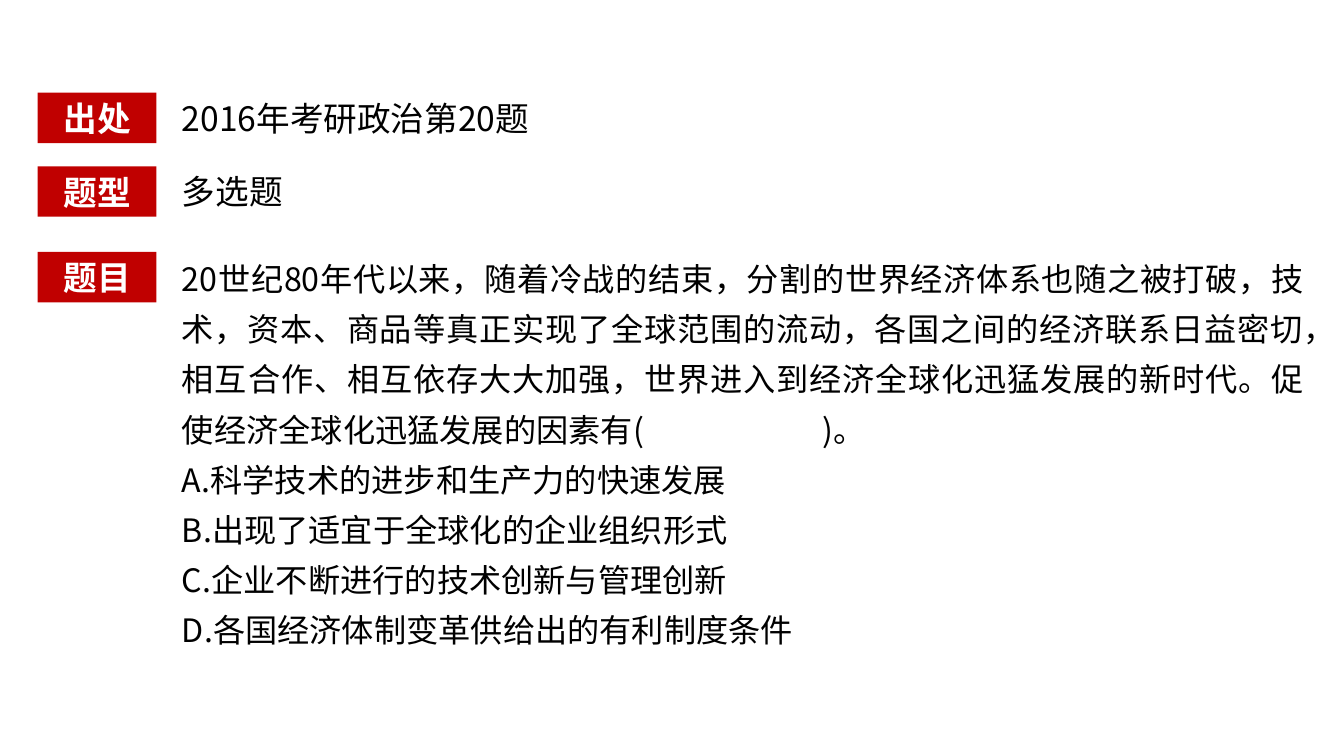
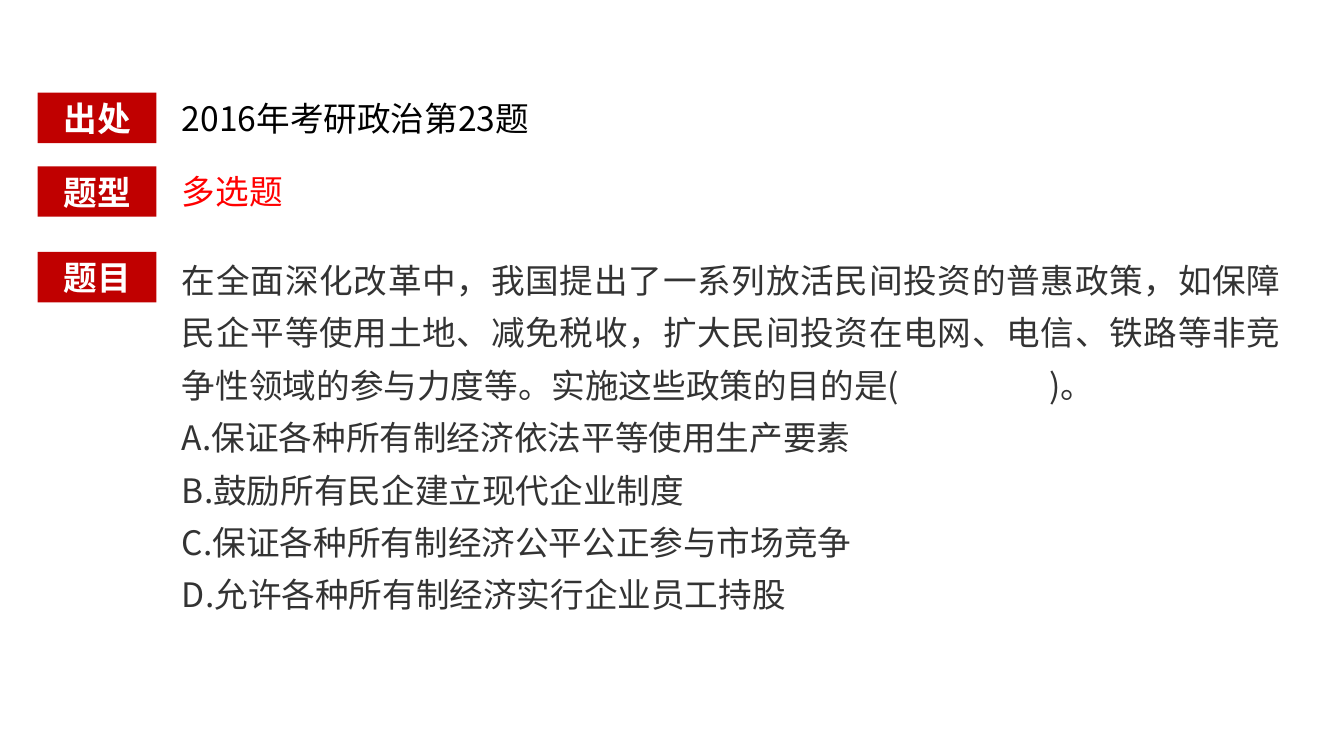
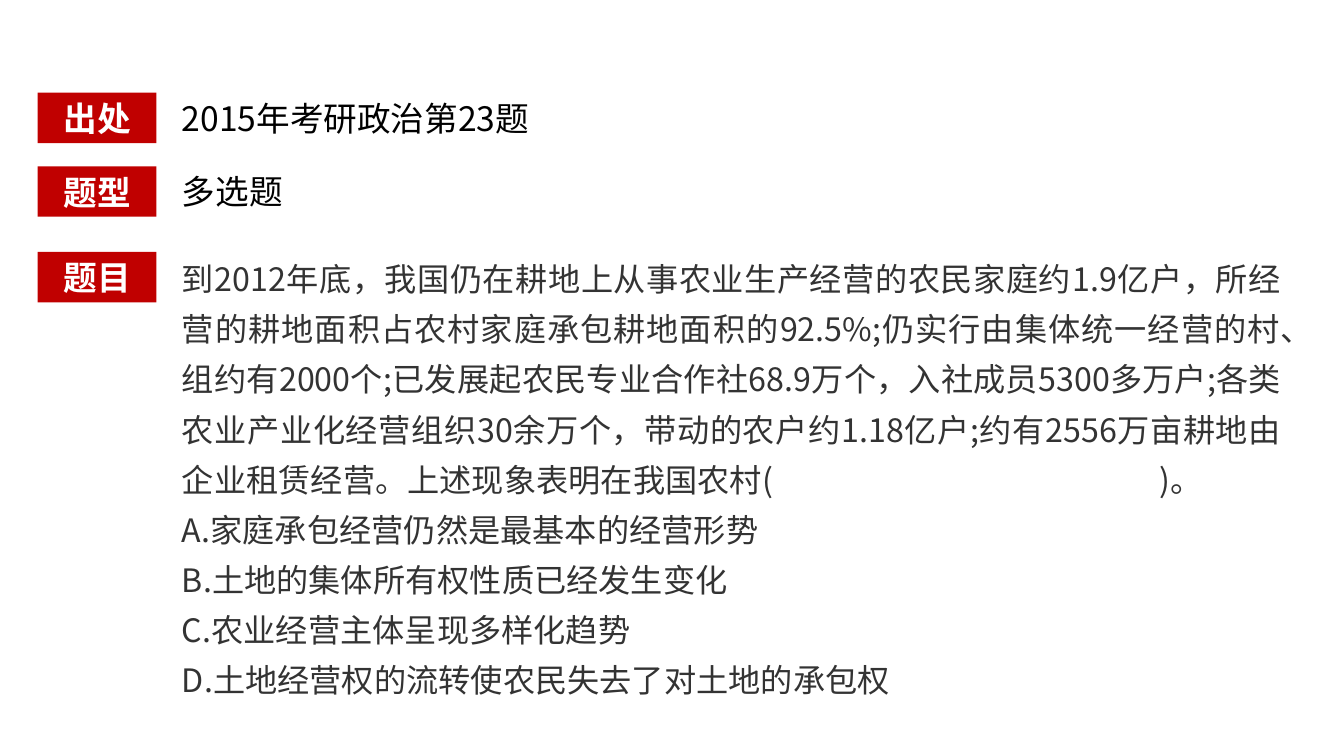
from dataclasses import dataclass

from pptx import Presentation
from pptx.dml.color import RGBColor as Rgb
from pptx.enum.shapes import MSO_SHAPE as Shape
from pptx.enum.text import MSO_ANCHOR as Anchor, MSO_AUTO_SIZE as AutoSize, PP_ALIGN as Align
from pptx.oxml.xmlchemy import OxmlElement
from pptx.util import Inches, Pt


@dataclass(frozen=True)
class Theme:
    font: str = "Noto Sans CJK SC"
    label_fill: str = "C00000"
    label_text: str = "FFFFFF"
    black: str = "000000"
    grey: str = "333333"
    red: str = "FF0000"
    size: int = 24
    dense_size: int = 23
    line_spacing: float = 1.3


THEME = Theme()

# Shares of the slide, in percent of its width or height
LABEL_LEFT, LABEL_WIDTH = 2.8, 8.85
TEXT_LEFT, TEXT_WIDTH = 12.8, 68
SOURCE_TOP, KIND_TOP, QUESTION_LABEL_TOP = 12.27, 22, 33.33
QUESTION_TOP, ROW_HEIGHT = 32.13, 6.67


class QuestionDeck:
    def __init__(self, theme):
        self.theme = theme
        self.deck = Presentation()
        self.deck.slide_width, self.deck.slide_height = Inches(13.33), Inches(7.5)
        self.slide = None

    def new_slide(self):
        self.slide = self.deck.slides.add_slide(self.deck.slide_layouts[6])

    def place(self, left, top, width, height):
        across, down = self.deck.slide_width / 100, self.deck.slide_height / 100
        return [round(n) for n in (left * across, top * down, width * across, height * down)]

    def style(self, paragraph, color, size, bold=False):
        font = paragraph.font
        font.size, font.bold, font.name = Pt(size), bold, self.theme.font
        font.color.rgb = Rgb.from_string(color)
        east_asian = OxmlElement("a:ea")
        east_asian.set("typeface", self.theme.font)
        font._element.append(east_asian)

    def label(self, caption, top):
        box = self.slide.shapes.add_shape(
            Shape.RECTANGLE, *self.place(LABEL_LEFT, top, LABEL_WIDTH, ROW_HEIGHT))
        box.shadow.inherit = False
        box.fill.solid()
        box.fill.fore_color.rgb = Rgb.from_string(self.theme.label_fill)
        box.line.fill.background()
        box.text_frame.vertical_anchor = Anchor.MIDDLE
        caption_line = box.text_frame.paragraphs[0]
        caption_line.text, caption_line.alignment = caption, Align.CENTER
        self.style(caption_line, self.theme.label_text, self.theme.size, bold=True)

    def text(self, lines, top, width, height, color, size):
        frame = self.slide.shapes.add_textbox(
            *self.place(TEXT_LEFT, top, width, height)).text_frame
        frame.word_wrap = True
        frame.auto_size = AutoSize.SHAPE_TO_FIT_TEXT
        for number, line in enumerate(lines):
            paragraph = frame.add_paragraph() if number else frame.paragraphs[0]
            paragraph.text = line
            self.style(paragraph, color, size)
        return frame.paragraphs

    def answer_blank(self, paragraph, end):
        """Set the tab stop that holds the blank between the brackets open."""
        stops, stop = OxmlElement("a:tabLst"), OxmlElement("a:tab")
        stop.set("pos", str(Inches(end)))
        stop.set("algn", "l")
        stops.append(stop)
        paragraph.font._element.addprevious(stops)

    def question(self, stem, options, width, height, color, size, blank_end):
        paragraphs = self.text([stem, *options], QUESTION_TOP, width, height, color, size)
        for paragraph in paragraphs:
            paragraph.line_spacing = self.theme.line_spacing
        paragraphs[0].alignment = Align.JUSTIFY
        self.answer_blank(paragraphs[0], blank_end)

    def question_slide(self, source, kind_color, **question):
        self.new_slide()
        theme = self.theme
        for caption, top in (("出处", SOURCE_TOP), ("题型", KIND_TOP),
                             ("题目", QUESTION_LABEL_TOP)):
            self.label(caption, top)
        for line, top, color in ((source, SOURCE_TOP, theme.black),
                                 ("多选题", KIND_TOP, kind_color)):
            self.text([line], top, TEXT_WIDTH, ROW_HEIGHT, color, theme.size)
        self.question(**question)


# Content of the three questions
QUESTIONS = [
    dict(
        source="2016年考研政治第20题", kind_color=THEME.black,
        stem="20世纪80年代以来，随着冷战的结束，分割的世界经济体系也随之被打破，"
             "技术，资本、商品等真正实现了全球范围的流动，各国之间的经济联系日益密切，"
             "相互合作、相互依存大大加强，世界进入到经济全球化迅猛发展的新时代。"
             "促使经济全球化迅猛发展的因素有(\t)。",
        options=["A.科学技术的进步和生产力的快速发展",
                 "B.出现了适宜于全球化的企业组织形式",
                 "C.企业不断进行的技术创新与管理创新",
                 "D.各国经济体制变革供给出的有利制度条件"],
        width=85.05, height=54.4, color=THEME.black, size=THEME.dense_size, blank_end=6.35),
    dict(
        source="2016年考研政治第23题", kind_color=THEME.red,
        stem="在全面深化改革中，我国提出了一系列放活民间投资的普惠政策，"
             "如保障民企平等使用土地、减免税收，扩大民间投资在电网、电信、"
             "铁路等非竞争性领域的参与力度等。实施这些政策的目的是(\t)。",
        options=["A.保证各种所有制经济依法平等使用生产要素",
                 "B.鼓励所有民企建立现代企业制度",
                 "C.保证各种所有制经济公平公正参与市场竞争",
                 "D.允许各种所有制经济实行企业员工持股"],
        width=83.25, height=49.73, color=THEME.grey, size=THEME.size, blank_end=8.6),
    dict(
        source="2015年考研政治第23题", kind_color=THEME.black,
        stem="到2012年底，我国仍在耕地上从事农业生产经营的农民家庭约1.9亿户，"
             "所经营的耕地面积占农村家庭承包耕地面积的92.5%;仍实行由集体统一经营的村、"
             "组约有2000个;已发展起农民专业合作社68.9万个，入社成员5300多万户;"
             "各类农业产业化经营组织30余万个，带动的农户约1.18亿户;"
             "约有2556万亩耕地由企业租赁经营。上述现象表明在我国农村(\t)。",
        options=["A.家庭承包经营仍然是最基本的经营形势",
                 "B.土地的集体所有权性质已经发生变化",
                 "C.农业经营主体呈现多样化趋势",
                 "D.土地经营权的流转使农民失去了对土地的承包权"],
        width=83.25, height=62.27, color=THEME.grey, size=THEME.dense_size, blank_end=9.7),
]


def main():
    quiz = QuestionDeck(THEME)
    for question in QUESTIONS:
        quiz.question_slide(**question)
    quiz.deck.save("out.pptx")


if __name__ == "__main__":
    main()
